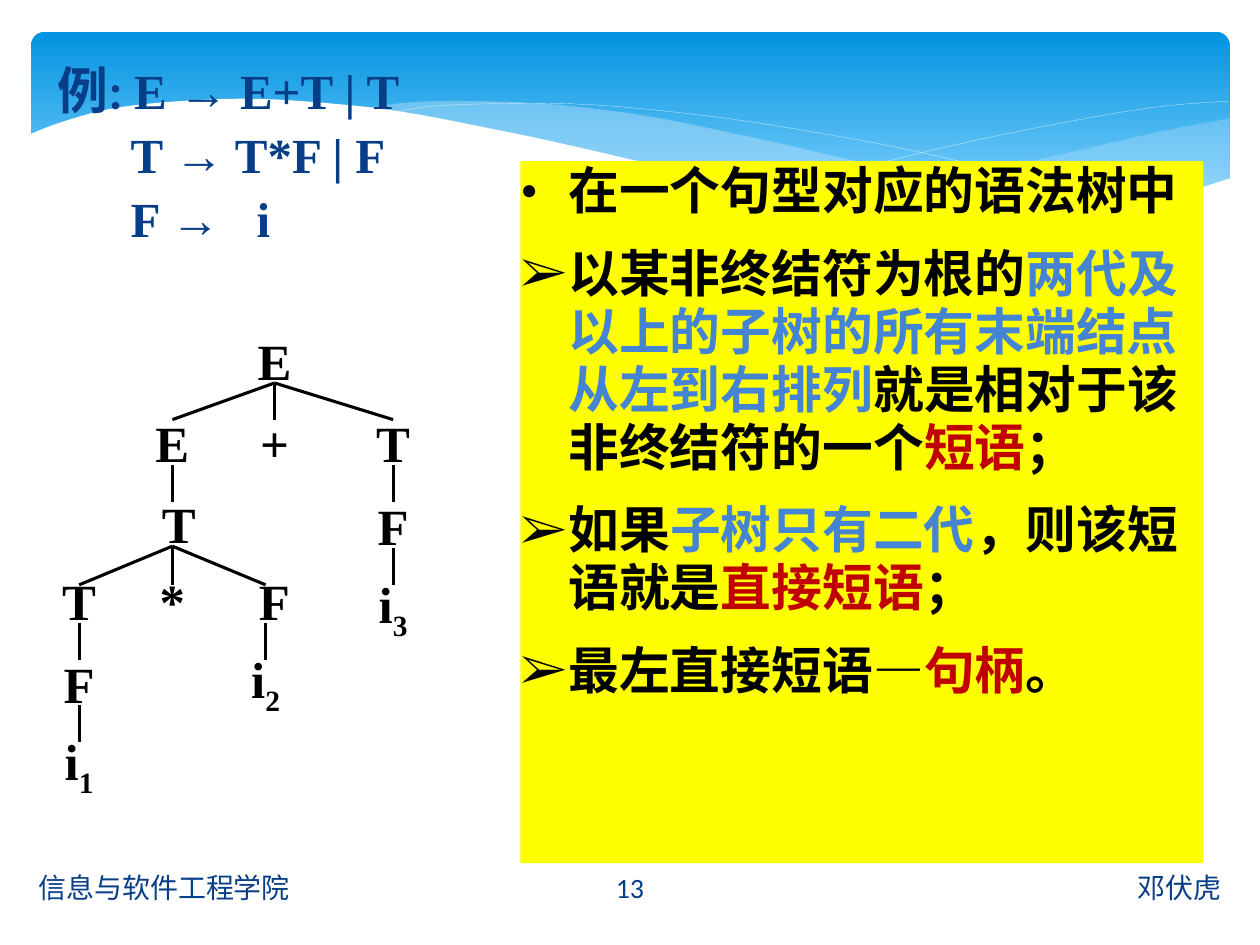
from dataclasses import dataclass

from lxml.etree import SubElement
from pptx import Presentation
from pptx.dml.color import RGBColor as RGB
from pptx.enum.shapes import MSO_CONNECTOR as Link, MSO_SHAPE as Shape
from pptx.enum.text import MSO_ANCHOR as Anchor, MSO_AUTO_SIZE as Auto, PP_ALIGN as Align
from pptx.oxml.ns import qn
from pptx.util import Cm, Pt


@dataclass(frozen=True)
class Theme:
    """Hold the colours, faces and type sizes."""
    navy: str = "073E87"
    black: str = "000000"
    white: str = "FFFFFF"
    blue: str = "4584D3"
    red: str = "C00000"
    yellow: str = "FFFF00"
    deep: str = "0293E0"
    sky: str = "83D3FE"
    mist: str = "C6E7FC"
    sans: str = "Calibri"
    serif: str = "Times New Roman"
    han: str = "Noto Sans CJK SC"
    big: int = 29
    rule: int = 28
    small: int = 16


T = Theme()

RIGHT = [[(24.21, 1.75), (22.81, 2.01), (21.29, 2.36), (19.2, 2.84), (17.35, 3.23), (16.21, 3.43)],
         [(16.21, 3.43), (17.68, 3.61), (19.25, 3.73), (20.62, 3.73), (22, 3.58), (23.16, 3.33),
          (24.21, 2.95)]]
MID = [[(6.68, 1.55), (7.75, 1.42), (9.07, 1.4), (10.64, 1.47), (12.47, 1.7), (14.25, 2.06),
        (15.39, 2.31), (17.35, 2.77), (19.1, 3.15), (20.68, 3.4), (22.1, 3.61)],
       [(22.1, 3.61), (20.96, 3.73), (19.63, 3.76), (18.11, 3.66), (16.31, 3.45), (14.25, 3.07),
        (11.89, 2.57), (9.68, 2.06), (8.1, 1.75), (6.68, 1.55)]]
FALL = [[(7.26, 1.65), (8.15, 1.5), (9.6, 1.45), (11.33, 1.47), (13.54, 1.68), (15.57, 1.98),
         (17.88, 2.41), (20.52, 3.05), (22.45, 3.58)]]
RISE = [[(14.99, 3.2), (17.07, 2.67), (19.13, 2.18), (21.41, 1.73), (22.89, 1.5), (24.18, 1.4)]]
FRONT = [[(0, 2.08), (0.58, 1.85), (1.57, 1.57), (2.77, 1.42), (4.32, 1.35), (5.77, 1.42),
          (7.44, 1.6), (9.35, 1.96), (10.77, 2.26), (12.85, 2.74), (14.73, 3.15), (16.38, 3.43),
          (18.31, 3.63), (19.96, 3.71), (21.34, 3.66), (22.78, 3.4), (24.23, 2.95)],
         [(24.23, 5.05), (0, 5.05)]]

NODES = {
    "E": ("E", "", 3.94, 0, 0, 0), "E1": ("E", "", 1.88, 1.65, 0, 0),
    "plus": ("+", "", 3.94, 1.65, 0, 0), "T1": ("T", "", 6.33, 1.65, 0, 0),
    "T2": ("T", "", 2.01, 3.29, 0.13, -0.03), "F1": ("F", "", 6.33, 3.32, 0, 0),
    "T3": ("T", "", 0, 4.83, 0, -0.15), "star": ("*", "", 1.88, 4.83, 0, -0.15),
    "F2": ("F", "", 3.94, 4.83, 0.18, -0.15), "i3": ("i", "3", 6.33, 4.98, 0, 0),
    "F3": ("F", "", 0, 6.5, 0, 0), "i2": ("i", "2", 3.76, 6.5, 0, 0),
    "i1": ("i", "1", 0, 8.15, 0, 0),
}
EDGES = {"E": ["E1", "plus", "T1"], "E1": ["T2"], "T1": ["F1"], "F1": ["i3"],
         "T2": ["T3", "star", "F2"], "T3": ["F3"], "F2": ["i2"], "F3": ["i1"]}

POINTS = [
    ("•", [("在一个句型对应的语法树中", T.black)]),
    ("➢", [("以某非终结符为根的", T.black), ("两代及以上的子树的所有末端结点从左到右排列", T.blue),
           ("就是相对于该非终结符的一个", T.black), ("短语", T.red), ("；", T.black)]),
    ("➢", [("如果", T.black), ("子树只有二代", T.blue), ("，则该短语就是", T.black),
           ("直接短语", T.red), ("；", T.black)]),
    ("➢", [("最左直接短语—", T.black), ("句柄", T.red), ("。", T.black)]),
]


def put(para, text, size, tint, face, bold=True, han=False):
    """Add one styled run and return it."""
    run = para.add_run()
    run.text = text
    font = run.font
    font.size, font.bold, font.name = Pt(size), bold, face
    font.color.rgb = RGB.from_string(tint)
    if han:
        SubElement(font._element, qn("a:ea"), typeface=T.han)
    return run


def dent(para, left, first):
    """Set the left and first-line indents of a paragraph."""
    props = para._p.get_or_add_pPr()
    props.set("marL", str(Cm(left)))
    props.set("indent", str(Cm(first)))
    return props


def paint(shape, tint, alpha=100):
    """Fill a shape flat, without outline or shadow."""
    shape.shadow.inherit = False
    shape.line.fill.background()
    shape.fill.solid()
    shape.fill.fore_color.rgb = RGB.from_string(tint)
    if alpha < 100:
        color = shape.fill._xPr.find(".//" + qn("a:srgbClr"))
        SubElement(color, qn("a:alpha"), val=str(alpha * 1000))


def smooth(pts, steps=4):
    """Return points on a Catmull-Rom curve through pts."""
    ends = [pts[0], *pts, pts[-1]]
    out = [pts[0]]
    for a, b, c, d in zip(ends, ends[1:], ends[2:], ends[3:]):
        for k in range(1, steps + 1):
            t = k / steps
            out.append(tuple(
                (2 * q + (r - p) * t + (2 * p - 5 * q + 4 * r - s) * t ** 2
                 + (3 * q - p - 3 * r + s) * t ** 3) / 2
                for p, q, r, s in zip(a, b, c, d)))
    return out


def wave(slide, x, y, arcs, close=True):
    """Draw one outline from a chain of arcs."""
    pts = [(Cm(x + u), Cm(y + v)) for arc in arcs
           for u, v in (smooth(arc) if len(arc) > 2 else arc)]
    pen = slide.shapes.build_freeform(*pts[0])
    pen.add_line_segments(pts[1:], close=close)
    return pen.convert_to_shape()


def header(slide, x, y, w, h):
    """Draw the blue band and its waves."""
    band = slide.shapes.add_shape(Shape.ROUNDED_RECTANGLE, Cm(x + 0.05), Cm(y), Cm(w), Cm(h))
    band.adjustments[0] = 0.07
    band.shadow.inherit = False
    band.line.fill.background()
    band.fill.gradient()
    band.fill.gradient_angle = 270
    for stop, tint, spot in zip(band.fill.gradient_stops, (T.deep, T.sky), (0, 0.9)):
        stop.color.rgb, stop.position = RGB.from_string(tint), spot
    paint(wave(slide, x, y, RIGHT), T.mist, 29)
    paint(wave(slide, x, y, MID), T.mist, 40)
    for arcs in (FALL, RISE):
        line = wave(slide, x, y, arcs, False)
        line.shadow.inherit = False
        line.fill.background()
        line.line.color.rgb, line.line.width = RGB.from_string(T.white), Pt(0.1)
    paint(wave(slide, x, y, FRONT), T.white)


def grammar(slide, x, y, w, h):
    """Set the grammar rules in the title."""
    title = slide.shapes.title
    title._element.getparent().append(title._element)
    title.left, title.top, title.width, title.height = Cm(x), Cm(y), Cm(w), Cm(h)
    frame = title.text_frame
    frame.auto_size, frame.vertical_anchor = Auto.NONE, Anchor.TOP
    for n, rule in enumerate(("E → E+T | T", "T → T*F | F", "F →\ti")):
        para = frame.add_paragraph() if n else frame.paragraphs[0]
        para.alignment = Align.LEFT
        props = dent(para, 1.47 if n else 0.76, 0 if n else -0.76)
        if "\t" in rule:
            tabs = SubElement(props, qn("a:tabLst"))
            SubElement(tabs, qn("a:tab"), pos=str(Cm(3.76)), algn="l")
        para.line_spacing = 0.9
        if n:
            para.space_before = Pt(6.2)
        else:
            put(para, "例: ", T.big, T.navy, T.sans, han=True)
        put(para, rule, T.rule, T.navy, T.serif)


def tree(slide, x, y, w, h):
    """Draw the syntax tree with nodes of size w by h."""
    boxes = {}
    for key, (text, sub, u, v, _, _) in NODES.items():
        box = boxes[key] = slide.shapes.add_textbox(Cm(x + u), Cm(y + v), Cm(w), Cm(h))
        frame = box.text_frame
        frame.word_wrap, frame.vertical_anchor = False, Anchor.MIDDLE
        para = frame.paragraphs[0]
        para.alignment = Align.CENTER
        put(para, text, T.big, T.black, T.serif)
        if sub:
            run = put(para, sub, T.big, T.black, T.serif)
            run.font._element.set("baseline", "-25000")
    for head, kids in EDGES.items():
        _, _, u, v, du, _ = NODES[head]
        for kid in kids:
            _, _, p, q, dp, dq = NODES[kid]
            line = slide.shapes.add_connector(
                Link.STRAIGHT, Cm(x + u - du + w / 2), Cm(y + v + h),
                Cm(x + p - dp + w / 2), Cm(y + q - dq))
            line.line.color.rgb, line.line.width = RGB.from_string(T.black), Pt(1.75)
            SubElement(line._element.spPr, qn("a:effectLst"))
            if not du:
                line.begin_connect(boxes[head], 2)
            if not (dp or dq):
                line.end_connect(boxes[kid], 0)


def notes(slide, x, y, w, h):
    """Fill the yellow panel with the definitions."""
    panel = slide.shapes.add_shape(Shape.RECTANGLE, Cm(x), Cm(y), Cm(w), Cm(h))
    paint(panel, T.yellow)
    frame = panel.text_frame
    frame.word_wrap, frame.vertical_anchor = True, Anchor.TOP
    frame.margin_left = frame.margin_right = frame.margin_bottom = 0
    frame.margin_top = Cm(0.05)
    for n, (mark, runs) in enumerate(POINTS):
        para = frame.add_paragraph() if n else frame.paragraphs[0]
        props = dent(para, 0.97, -0.97)
        SubElement(props, qn("a:buFont"), typeface=T.serif)
        SubElement(props, qn("a:buChar"), char=mark)
        para.alignment = Align.LEFT
        para.line_spacing, para.space_after = 0.95, Pt(14.1)
        for text, tint in runs:
            put(para, text, T.big, tint, T.han, han=True)


def footer(slide, x, y, w, h):
    """Set school, page number and author along the foot."""
    side, mid = 10.52, 3.23
    for text, left, wide, side_to in (
            ("信息与软件工程学院", x, side, Align.LEFT),
            ("13", x + (w - mid) / 2, mid, Align.CENTER),
            ("邓伏虎", x + w - side, side, Align.RIGHT)):
        frame = slide.shapes.add_textbox(Cm(left), Cm(y), Cm(wide), Cm(h)).text_frame
        frame.word_wrap, frame.vertical_anchor = True, Anchor.MIDDLE
        para = frame.paragraphs[0]
        para.alignment = side_to
        put(para, text, T.small, T.navy, T.sans, False, True)


def main():
    """Build and save the slide."""
    deck = Presentation()
    deck.slide_width, deck.slide_height = Cm(25.4), Cm(19.05)
    slide = deck.slides.add_slide(deck.slide_layouts[5])
    header(slide, 0.58, 0.64, 24.16, 3.96)
    footer(slide, 0.53, 17.37, 24.34, 1.02)
    grammar(slide, 0.91, 1.19, 23.8, 4.14)
    tree(slide, 0.91, 6.81, 1.37, 0.91)
    notes(slide, 10.49, 3.25, 13.77, 14.15)
    deck.save("out.pptx")


if __name__ == "__main__":
    main()
